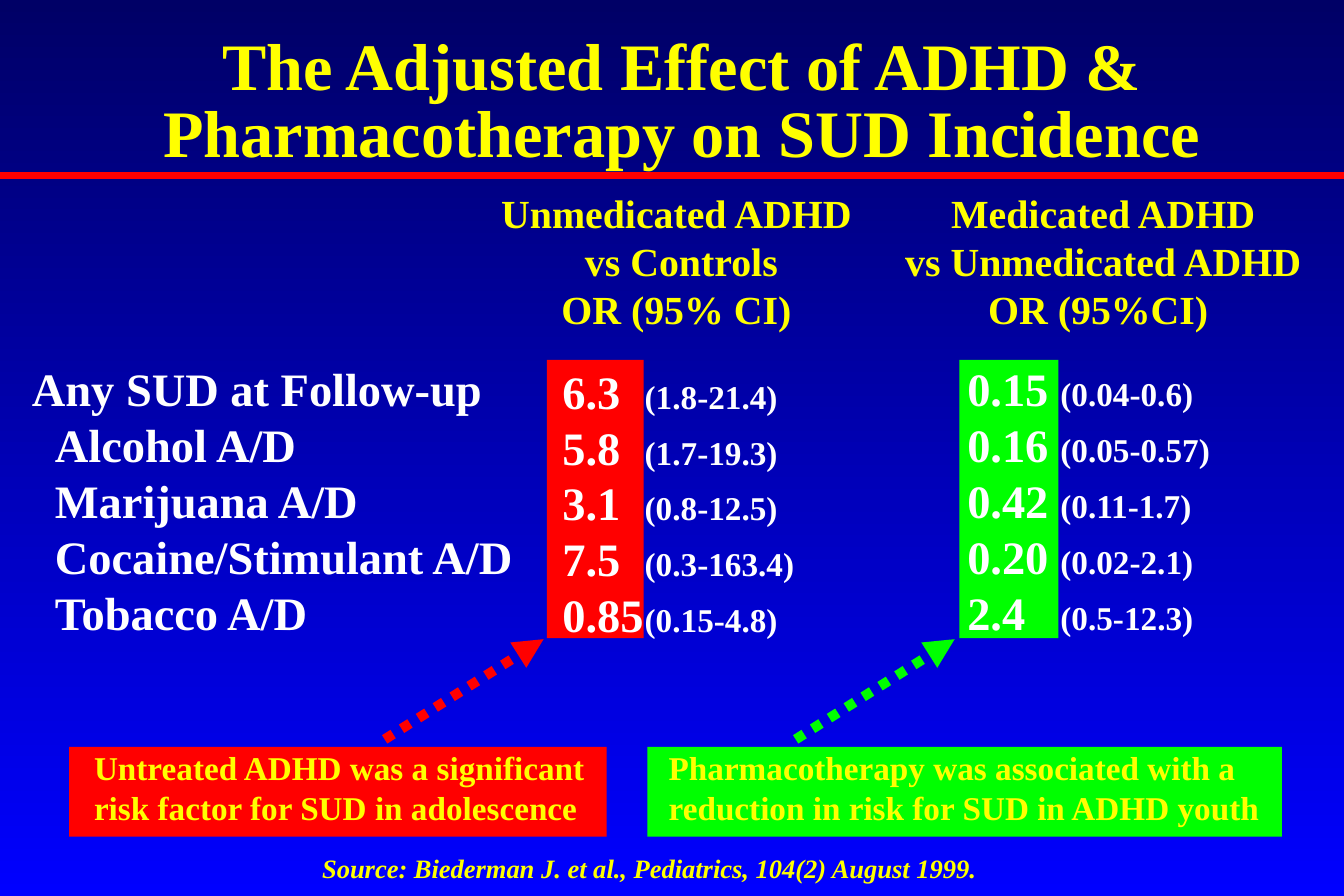
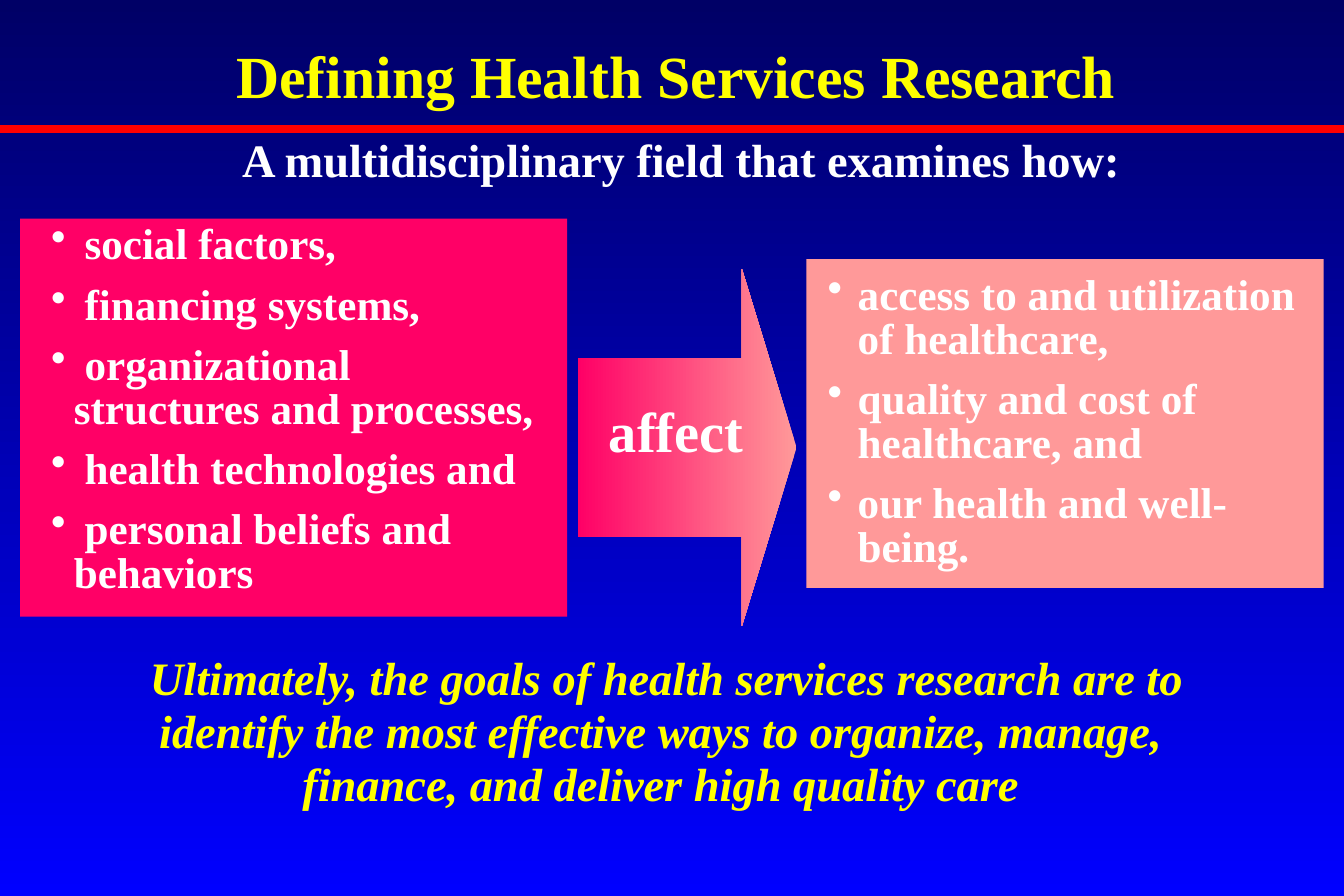
import pptx
import pptx.util
import pptx.dml.color
import pptx.enum.shapes
import pptx.enum.text
import pptx.enum.dml
import pptx.oxml
import pptx.oxml.ns

Cm, Pt = pptx.util.Cm, pptx.util.Pt
KIND = pptx.enum.shapes.MSO_SHAPE
ALIGN = pptx.enum.text.PP_ALIGN
FONT = "Times New Roman"
WIDTH, HEIGHT = 28.58, 19.05
COLOR = {"navy": "000066", "blue": "0000FF", "red": "FF0000",
         "green": "00FF00", "yellow": "FFFF00", "white": "FFFFFF",
         "rose": "FF0066", "pink": "FF9999", "black": "000000"}

# Slide 1
EFFECT = ["The Adjusted Effect of ADHD &", "Pharmacotherapy on SUD Incidence"]
SOURCE = "Source: Biederman J. et al., Pediatrics, 104(2) August 1999."
TOTAL = "Any SUD at Follow-up"
KINDS = ["Alcohol A/D", "Marijuana A/D", "Cocaine/Stimulant A/D", "Tobacco A/D"]
GROUPS = [
    {"color": "red",
     "head": ["Unmedicated ADHD ", "vs Controls", "OR (95% CI) "],
     "head_x": 9.64, "bar": (11.63, 2.06), "text": (11.71, 7.59), "tab": 1.75,
     "odds": [("6.3", "(1.8-21.4)"), ("5.8", "(1.7-19.3)"),
              ("3.1", "(0.8-12.5)"), ("7.5", "(0.3-163.4)"),
              ("0.85", "(0.15-4.8)")],
     "note": ["Untreated ADHD was a significant",
              "risk factor for SUD in adolescence"],
     "note_box": (1.47, 11.43), "note_text": (1.75, 11.8), "arrow": 8.18},
    {"color": "green",
     "head": ["Medicated ADHD", "vs Unmedicated ADHD", "OR (95%CI) "],
     "head_x": 18.61, "bar": (20.4, 2.11), "text": (20.32, 7.54), "tab": 1.98,
     "odds": [("0.15", "(0.04-0.6)"), ("0.16", "(0.05-0.57)"),
              ("0.42", "(0.11-1.7)"), ("0.20", "(0.02-2.1)"),
              ("2.4", "(0.5-12.3)")],
     "note": ["Pharmacotherapy was associated with a",
              "reduction in risk for SUD in ADHD youth"],
     "note_box": (13.77, 13.49), "note_text": (13.97, 13.6), "arrow": 16.92},
]

# Slide 2
TOPIC = "Defining Health Services Research"
FIELD = "A multidisciplinary field that examines how:"
CAUSES = [" social factors,", " financing systems,",
          " organizational\vstructures and processes,",
          " health technologies and", " personal beliefs and behaviors"]
RESULTS = ["access to and utilization of healthcare,",
           "quality and cost of healthcare, and", "our health and well-being."]
GOALS = ["Ultimately, the goals of health services research are to",
         "identify the most effective ways to organize, manage, ",
         "finance, and deliver high quality care "]


def rgb(name):
    return pptx.dml.color.RGBColor.from_string(COLOR[name])


def node(tag, inner="", **attrs):
    """Make one DrawingML element."""
    text = " ".join(f'{key}="{val}"' for key, val in attrs.items())
    return pptx.oxml.parse_xml(
        f'<a:{tag} {pptx.oxml.ns.nsdecls("a")} {text}>{inner}</a:{tag}>')


def shade(fill, first, last, angle):
    fill.gradient()
    fill.gradient_angle = angle
    for stop, name in zip(fill.gradient_stops, (first, last)):
        stop.color.rgb = rgb(name)


def cast(run):
    """Give the letters of a run a shadow."""
    shadow = node("effectLst", '<a:outerShdw blurRad="38100" dist="38100" '
                  'dir="2700000" algn="tl"><a:srgbClr val="000000"/>'
                  '</a:outerShdw>')
    run.font.fill._xPr.find(pptx.oxml.ns.qn("a:solidFill")).addnext(shadow)


def write(slide, text, box, size=28, color="white", align=ALIGN.LEFT,
          italic=False, shadow=True, line=None, before=0, bullet=None,
          indent=0, tab=None):
    """Add a text box; a paragraph is a string or a list of (text, size)."""
    frame = slide.shapes.add_textbox(*map(Cm, box)).text_frame
    frame.word_wrap = True
    for at, item in enumerate([text] if isinstance(text, str) else text):
        para = frame.paragraphs[0] if at == 0 else frame.add_paragraph()
        props = para._p.get_or_add_pPr()
        if indent:
            props.set("marL", str(Cm(indent)))
        if bullet:
            props.set("indent", str(-Cm(indent)))
            props.append(node("buClr", f'<a:srgbClr val="{COLOR[color]}"/>'))
            props.append(node("buChar", char=bullet))
        if tab:
            props.append(node("tabLst", f'<a:tab pos="{Cm(tab)}" algn="l"/>'))
        para.alignment = align
        if line:
            para.line_spacing = line
        if at and before:
            para.space_before = Pt(before)
        for words, points in [(item, size)] if isinstance(item, str) else item:
            for row, part in enumerate(words.split("\v")):
                if row:
                    para.add_line_break()
                run = para.add_run()
                run.text = part
                font = run.font
                font.name, font.size = FONT, Pt(points)
                font.bold, font.italic = True, italic
                font.color.rgb = rgb(color)
                if shadow:
                    cast(run)


def block(slide, box, color=None, kind=KIND.RECTANGLE):
    shape = slide.shapes.add_shape(kind, *map(Cm, box))
    shape.shadow.inherit = False
    shape.line.fill.background()
    if color:
        shape.fill.solid()
        shape.fill.fore_color.rgb = rgb(color)
    return shape


def rule(slide, ends, color, width):
    link = slide.shapes.add_connector(
        pptx.enum.shapes.MSO_CONNECTOR.STRAIGHT, *map(Cm, ends))
    link.line.color.rgb = rgb(color)
    link.line.width = Pt(width)
    link._element.spPr.append(node("effectLst"))
    return link


def start(deck, title, box, band, **style):
    """Add a slide with its background, red band and title."""
    slide = deck.slides.add_slide(deck.slide_layouts[6])
    shade(slide.background.fill, "navy", "blue", 270)
    rule(slide, (0, band, WIDTH, band), "red", 4.5)
    write(slide, title, box, color="yellow", align=ALIGN.CENTER, **style)
    return slide


def effect(deck):
    slide = start(deck, EFFECT, (2.5, 0.64, 24, 3.15), 3.73, size=40, line=0.85)
    write(slide, TOTAL, (0.43, 7.54, 11.2, 1.44))
    write(slide, KINDS, (0.43, 8.73, 11.2, 5), indent=0.49)
    for group in GROUPS:
        color = group["color"]
        left, wide = group["bar"]
        block(slide, (left, 7.65, wide, 5.92), color)
        write(slide, group["head"], (group["head_x"], 3.89, 9.7, 3.3),
              size=24, color="yellow", align=ALIGN.CENTER)
        odds = [[(ratio + "\t", 28), (span, 20)]
                for ratio, span in group["odds"]]
        write(slide, odds, (*group["text"], 6.1, 7.04), tab=group["tab"])

        left, wide = group["note_box"]
        block(slide, (left, 15.88, wide, 1.91), color)
        left, wide = group["note_text"]
        write(slide, group["note"], (left, 15.77, wide, 1.96),
              size=20, color="yellow")
        left = group["arrow"]
        arrow = rule(slide, (left, 15.72, left + 3.38, 13.59), color, 6)
        arrow.line.dash_style = pptx.enum.dml.MSO_LINE.ROUND_DOT
        arrow.line._ln.append(node("tailEnd", type="triangle"))
    write(slide, SOURCE, (6.6, 17.98, 15, 0.94), size=16, color="yellow",
          italic=True)


def define(deck):
    slide = start(deck, TOPIC, (0.84, 0.69, 27.08, 1.78), 2.74, size=36,
                  shadow=False)
    write(slide, FIELD, (2.49, 2.74, 23.98, 1.47), align=ALIGN.CENTER,
          shadow=False, line=0.95)
    block(slide, (0.43, 4.65, 11.63, 8.46), "rose")
    block(slide, (17.15, 5.51, 11, 6.99), "pink")
    arrow = block(slide, (12.29, 5.72, 4.65, 7.59), kind=KIND.RIGHT_ARROW)
    arrow.adjustments[0], arrow.adjustments[1] = 0.5, 0.25
    shade(arrow.fill, "pink", "rose", 180)

    style = {"size": 26, "line": 0.85, "before": 9.8, "bullet": "•"}
    write(slide, CAUSES, (0.84, 4.65, 11.63, 8.18), indent=0.48, **style)
    write(slide, RESULTS, (17.35, 5.72, 10.8, 7.21), indent=0.64, **style)
    write(slide, "affect", (12.7, 8.46, 4.32, 1.55), size=34, line=0.9)
    write(slide, GOALS, (0.2, 13.77, 27.94, 3.63), color="yellow",
          align=ALIGN.CENTER, italic=True, line=0.95)


def main():
    deck = pptx.Presentation()
    deck.slide_width, deck.slide_height = Cm(WIDTH), Cm(HEIGHT)
    effect(deck)
    define(deck)
    deck.save("out.pptx")


if __name__ == "__main__":
    main()
